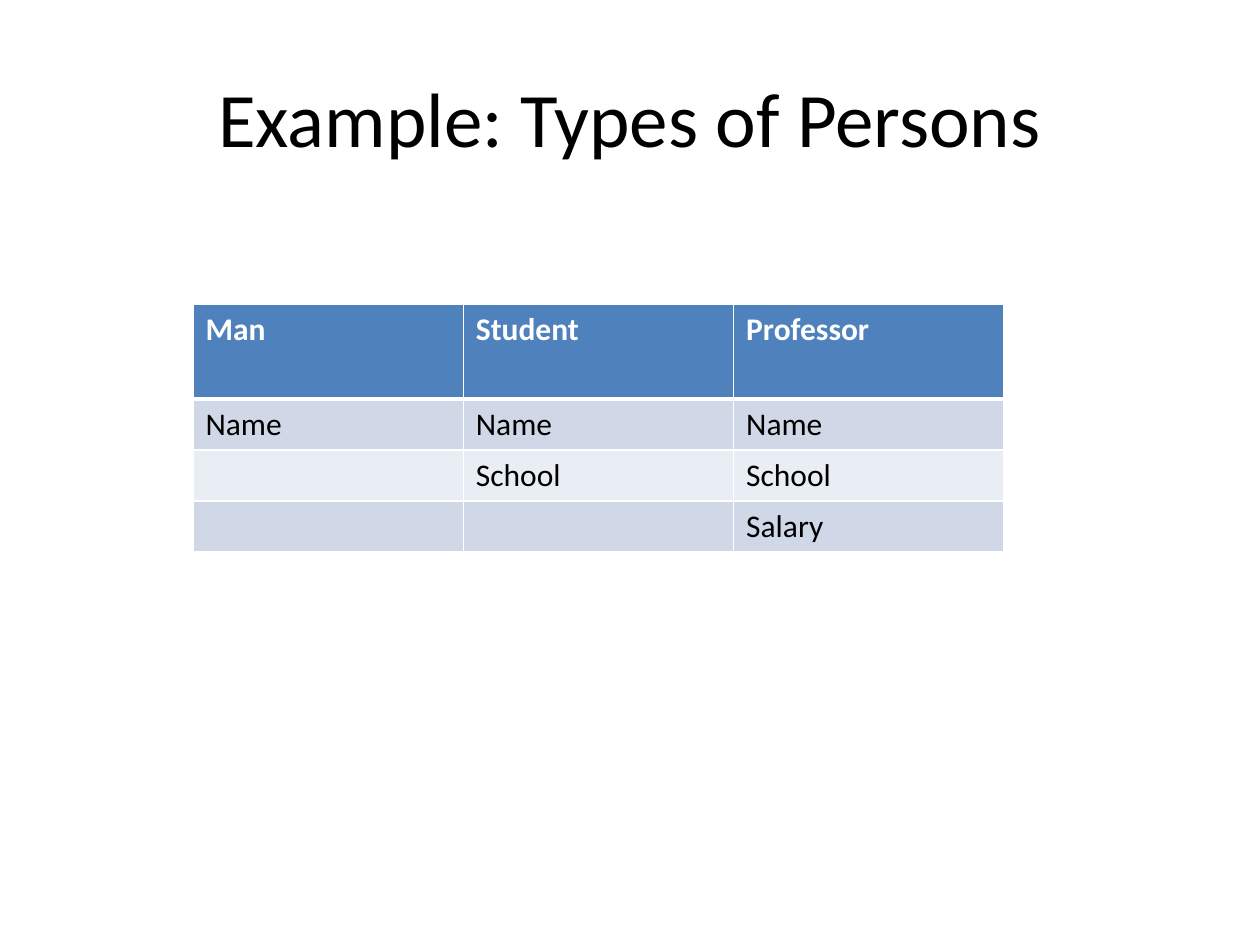
import pptx
import pptx.dml.color
import pptx.enum.text
import pptx.oxml.ns
import pptx.util
from lxml import etree

PX = 914400 // 126
HUES = {"head": "4F81BD", "odd": "D0D8E8", "even": "E9EDF4",
        "ink": "000000", "white": "FFFFFF"}


def write(frame, text, size=18, hue="ink", bold=False, align=None):
    """Put one formatted run of text into a text frame."""
    para = frame.paragraphs[0]
    para.alignment = align
    run = para.add_run()
    run.text = text
    run.font.name = "Calibri"
    run.font.size = pptx.util.Pt(size)
    run.font.bold = bold
    run.font.color.rgb = pptx.dml.color.RGBColor.from_string(HUES[hue])


def edge(side, width):
    """Make one white cell border, width in points."""
    name = pptx.oxml.ns.qn
    line = etree.Element(name("a:ln" + side), w=str(pptx.util.Pt(width)))
    fill = etree.SubElement(line, name("a:solidFill"))
    etree.SubElement(fill, name("a:srgbClr"), val=HUES["white"])
    return line


deck = pptx.Presentation()
deck.slide_width = 1260 * PX
deck.slide_height = 945 * PX
slide = deck.slides.add_slide(deck.slide_layouts[6])

title = slide.shapes.add_textbox(63 * PX, 38 * PX, 1134 * PX, 157 * PX)
title.text_frame.word_wrap = True
title.text_frame.vertical_anchor = pptx.enum.text.MSO_ANCHOR.MIDDLE
write(title.text_frame, "Example: Types of Persons", size=44,
      align=pptx.enum.text.PP_ALIGN.CENTER)

rows = [
    ["Man", "Student", "Professor"],
    ["Name", "Name", "Name"],
    ["", "School", "School"],
    ["", "", "Salary"],
]
highs = [95, 51, 51, 51]
table = slide.shapes.add_table(len(rows), 3, 193 * PX, 304 * PX,
                               811 * PX, sum(highs) * PX).table
for col in table.columns:
    col.width = 811 * PX // 3

for r, row in enumerate(rows):
    table.rows[r].height = highs[r] * PX
    band = "head" if r == 0 else "odd" if r % 2 else "even"
    for c, text in enumerate(row):
        cell = table.cell(r, c)
        cell.fill.solid()
        cell.fill.fore_color.rgb = pptx.dml.color.RGBColor.from_string(HUES[band])
        if text:
            write(cell.text_frame, text, hue="ink" if r else "white", bold=r == 0)
        wide = {"L": 1, "R": 1, "T": 3 if r == 1 else 1, "B": 1 if r else 3}
        props = cell._tc.get_or_add_tcPr()
        for spot, (side, width) in enumerate(wide.items()):
            props.insert(spot, edge(side, width))

deck.save("out.pptx")
